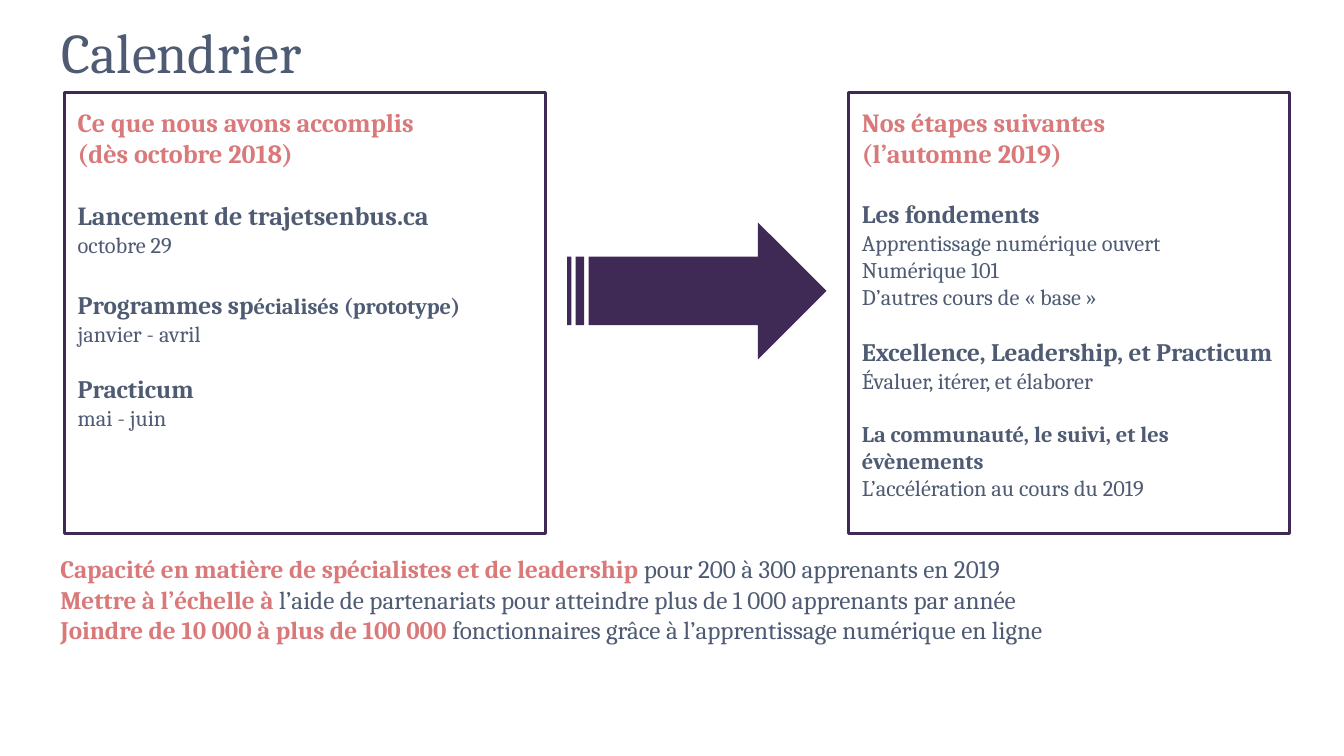
import pptx
import pptx.dml.color
import pptx.enum.shapes
import pptx.enum.text
import pptx.util

PX = 4572
FONT = "Cambria"
SLATE, CORAL, PLUM = "4E5B73", "DA797A", "3F2A56"

HEADING = {"size": 14, "bold": True, "color": CORAL}
TOPIC = {"size": 13.5, "bold": True, "color": SLATE}
LARGE_TOPIC = {**TOPIC, "size": 14}
SMALL_TOPIC = {**TOPIC, "size": 12}
DETAIL = {"size": 12, "bold": False, "color": SLATE}
KEY_POINT = {"size": 13.5, "bold": True, "color": CORAL}
REMARK = {"size": 13.5, "bold": False, "color": SLATE}
TITLE = {"size": 30, "bold": False, "color": SLATE}

DONE = [
    (0, [("Ce que nous avons accomplis", HEADING)]),
    (0, [("(dès octobre 2018)", HEADING)]),
    (16.5, [("Lancement de trajetsenbus.ca", LARGE_TOPIC)]),
    (0, [("octobre 29", DETAIL)]),
    (17, [("Programmes sp", TOPIC), ("écialisés (prototype)", SMALL_TOPIC)]),
    (0, [("janvier - avril", DETAIL)]),
    (14.4, [("Practicum", TOPIC)]),
    (0, [("mai - juin", DETAIL)]),
]
NEXT = [
    (0, [("Nos étapes suivantes", HEADING)]),
    (0, [("(l’automne 2019)", HEADING)]),
    (16, [("Les fondements", TOPIC)]),
    (0, [("Apprentissage numérique ouvert", DETAIL)]),
    (0, [("Numérique 101", DETAIL)]),
    (0, [("D’autres cours de « base »", DETAIL)]),
    (14.4, [("Excellence, Leadership, et Practicum", TOPIC)]),
    (0, [("Évaluer, itérer, et élaborer", DETAIL)]),
    (14.4, [("La communauté, le suivi, et les évènements", SMALL_TOPIC)]),
    (0, [("L’accélération au cours du 2019", DETAIL)]),
]
GOALS = [
    (0, [("Capacité en matière de spécialistes et de leadership ", KEY_POINT),
         ("pour 200 à 300 apprenants en 2019", REMARK)]),
    (0, [("Mettre à l’échelle à", KEY_POINT),
         (" l’aide de partenariats pour atteindre plus de 1 000 apprenants par année", REMARK)]),
    (0, [("Joindre de 10 000 à plus de 100 000 ", KEY_POINT),
         ("fonctionnaires grâce à l’apprentissage numérique en ligne", REMARK)]),
]


def px(*lengths):
    """Turn pixel lengths into EMU."""
    return [pptx.util.Emu(length * PX) for length in lengths]


def paint(color_format, color):
    """Set a colour format from a hex string."""
    color_format.rgb = pptx.dml.color.RGBColor.from_string(color)


def write(frame, lines, inset):
    """Fill a text frame with lines of (space before, styled runs)."""
    side, edge = px(20, inset)
    layout = {
        "word_wrap": True,
        "vertical_anchor": pptx.enum.text.MSO_ANCHOR.TOP,
        "margin_left": side, "margin_right": side,
        "margin_top": edge, "margin_bottom": edge,
    }
    for name, value in layout.items():
        setattr(frame, name, value)
    for index, (space, runs) in enumerate(lines):
        paragraph = frame.add_paragraph() if index else frame.paragraphs[0]
        paragraph.alignment = pptx.enum.text.PP_ALIGN.LEFT
        paragraph.space_before = pptx.util.Pt(space)
        for text, style in runs:
            run = paragraph.add_run()
            run.text = text
            font = {"name": FONT, "size": pptx.util.Pt(style["size"]), "bold": style["bold"]}
            for name, value in font.items():
                setattr(run.font, name, value)
            paint(run.font.color, style["color"])


def add_text(slide, box, lines):
    """Place plain text in the given box."""
    write(slide.shapes.add_textbox(*px(*box)).text_frame, lines, 10)


def add_panel(slide, box, lines):
    """Place an outlined panel of milestones in the given box."""
    panel = slide.shapes.add_shape(pptx.enum.shapes.MSO_SHAPE.RECTANGLE, *px(*box))
    panel.shadow.inherit = False
    panel.fill.background()
    paint(panel.line.color, PLUM)
    panel.line.width = pptx.util.Pt(1.5)
    write(panel.text_frame, lines, 20)


def add_arrow(slide, box):
    """Place the striped arrow between the panels in the given box."""
    arrow = slide.shapes.add_shape(pptx.enum.shapes.MSO_SHAPE.STRIPED_RIGHT_ARROW, *px(*box))
    arrow.shadow.inherit = False
    arrow.fill.solid()
    paint(arrow.fill.fore_color, PLUM)
    arrow.line.fill.background()


def main():
    """Build and save the calendar slide."""
    deck = pptx.Presentation()
    deck.slide_width, deck.slide_height = px(2000, 1125)
    slide = deck.slides.add_slide(deck.slide_layouts[6])
    add_text(slide, (70, 814, 1876, 162), GOALS)
    add_text(slide, (72, 16, 1528, 122), [(0, [("Calendrier", TITLE)])])
    add_panel(slide, (96, 138, 716, 656), DONE)
    add_panel(slide, (1263, 138, 656, 656), NEXT)
    add_arrow(slide, (844, 331, 386, 204))
    deck.save("out.pptx")


if __name__ == "__main__":
    main()
